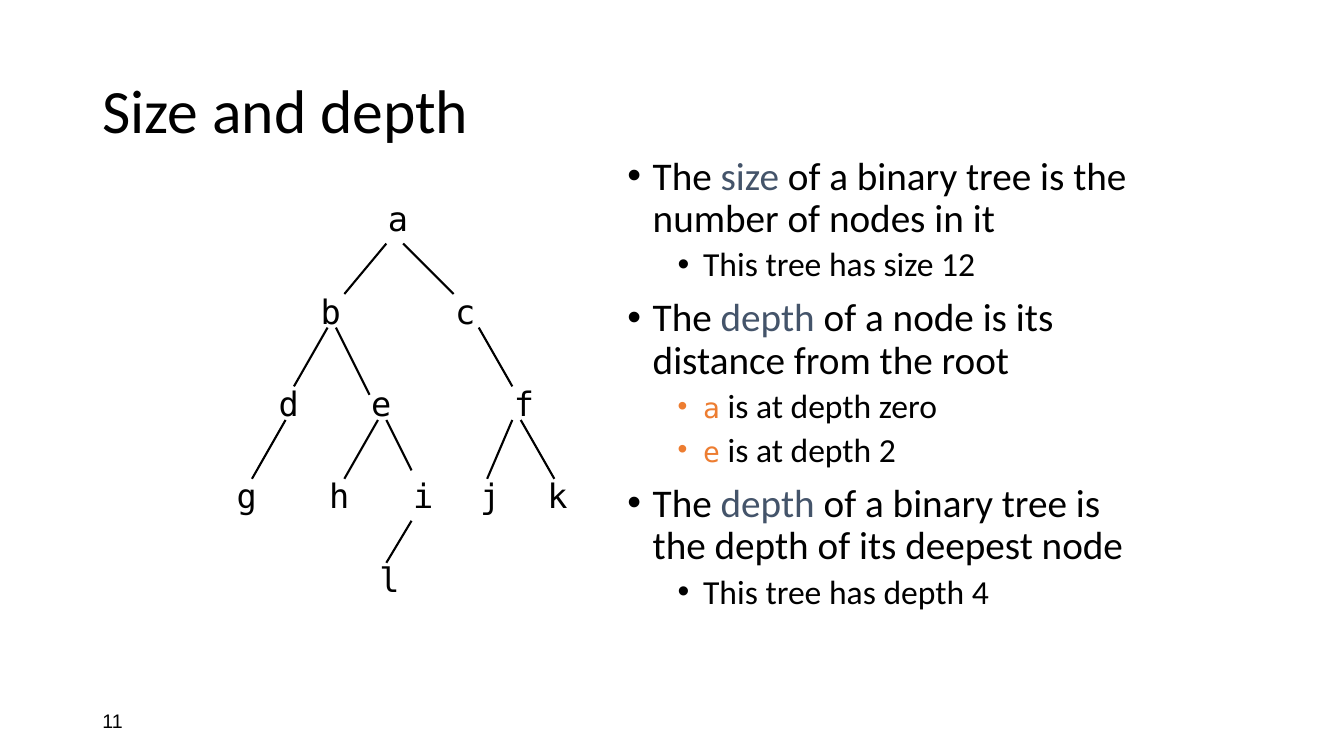
from lxml import etree
from pptx import Presentation
from pptx import util as u
from pptx.dml.color import RGBColor
from pptx.enum import shapes, text
from pptx.oxml import ns

BLACK = RGBColor(0x00, 0x00, 0x00)
SLATE = RGBColor(0x44, 0x54, 0x6A)
ORANGE = RGBColor(0xED, 0x7D, 0x31)
SANS, MONO, ARIAL = "Calibri", "DejaVu Sans Mono", "Arial"
TREE_UNIT = 2.54 / 12

NODES = {
    "a": (45, 23), "b": (37, 34), "c": (53, 34), "d": (32, 45),
    "e": (43, 45), "f": (60, 45), "g": (27, 56), "h": (38, 56),
    "i": (48, 56), "j": (56, 56), "k": (64, 56), "l": (44, 66),
}
EDGES = {
    "ab": (46, 29, 41, 35), "ac": (48, 29, 54, 35),
    "bd": (39, 39, 35, 46), "be": (40, 39, 44, 47),
    "cf": (57, 39, 61, 46), "dg": (34, 50, 30, 57),
    "eh": (45, 50, 41, 57), "ei": (46, 50, 49, 56),
    "il": (49, 62, 46, 67), "fj": (61, 50, 58, 57),
    "fk": (62, 50, 66, 57),
}

TERM = {"color": SLATE}
NODE_NAME = {"size": 20, "font": MONO, "color": ORANGE}
POINTS = [
    (0, [("The ", {}), ("size", TERM), (" of a binary tree is the number of nodes in it", {})]),
    (1, [("This tree has size 12", {})]),
    (0, [("The ", {}), ("depth", TERM), (" of a node is its distance from the root", {})]),
    (1, [("a", NODE_NAME), (" is at depth zero", {})]),
    (1, [("e", NODE_NAME), (" is at depth 2", {})]),
    (0, [("The ", {}), ("depth", TERM), (" of a binary tree is the depth of its deepest node", {})]),
    (1, [("This tree has depth 4", {})]),
]
LEVELS = [{"size": 28, "before": 10, "indent": 0.64}, {"size": 24, "before": 5, "indent": 1.91}]


def write(paragraph, content, size=24, font=SANS, color=BLACK):
    run = paragraph.add_run()
    run.text = content
    run.font.size = u.Pt(size)
    run.font.name = font
    run.font.color.rgb = color


class TreeSlide:
    line_spacing = 0.9
    line_width = u.Pt(1.5)
    hanging = u.Cm(0.64)

    def __init__(self, presentation):
        self.slide = presentation.slides.add_slide(presentation.slide_layouts[6])

    def frame(self, left, top, width, height, anchor=text.MSO_ANCHOR.TOP):
        box = self.slide.shapes.add_textbox(*map(u.Cm, (left, top, width, height)))
        box.text_frame.word_wrap = True
        box.text_frame.vertical_anchor = anchor
        return box.text_frame

    def label(self, content, *place, spacing=1.0, anchor=text.MSO_ANCHOR.TOP, **style):
        paragraph = self.frame(*place, anchor=anchor).paragraphs[0]
        paragraph.line_spacing = spacing
        write(paragraph, content, **style)

    def bullets(self, points, *place):
        frame = self.frame(*place)
        for index, (level, runs) in enumerate(points):
            paragraph = frame.add_paragraph() if index else frame.paragraphs[0]
            style = LEVELS[level]
            paragraph.level = level
            paragraph.line_spacing = self.line_spacing
            paragraph.space_before = u.Pt(style["before"])
            properties = paragraph._p.get_or_add_pPr()
            properties.set("marL", str(u.Cm(style["indent"])))
            properties.set("indent", str(-self.hanging))
            etree.SubElement(properties, ns.qn("a:buFont"), typeface=ARIAL)
            etree.SubElement(properties, ns.qn("a:buChar"), char="•")
            for content, changes in runs:
                write(paragraph, content, **{"size": style["size"], **changes})

    def edge(self, *ends):
        connector = self.slide.shapes.add_connector(
            shapes.MSO_CONNECTOR.STRAIGHT, *(u.Cm(end * TREE_UNIT) for end in ends))
        connector.line.color.rgb = BLACK
        connector.line.width = self.line_width
        etree.SubElement(connector._element.spPr, ns.qn("a:effectLst"))


presentation = Presentation()
presentation.slide_width = u.Cm(33.87)
presentation.slide_height = u.Cm(19.05)

page = TreeSlide(presentation)
middle = text.MSO_ANCHOR.MIDDLE
page.label("11", 2.33, 17.66, 7.62, 1.01, anchor=middle, size=14, font=ARIAL)
page.label("Size and depth", 2.33, 1.01, 29.21, 3.68,
           anchor=middle, spacing=page.line_spacing, size=44)
page.bullets(POINTS, 15.56, 3.81, 13.55, 13.23)
for name, (column, row) in NODES.items():
    page.label(name, column * TREE_UNIT, row * TREE_UNIT, 1.06, 1.28, font=MONO)
for ends in EDGES.values():
    page.edge(*ends)

presentation.save("out.pptx")
